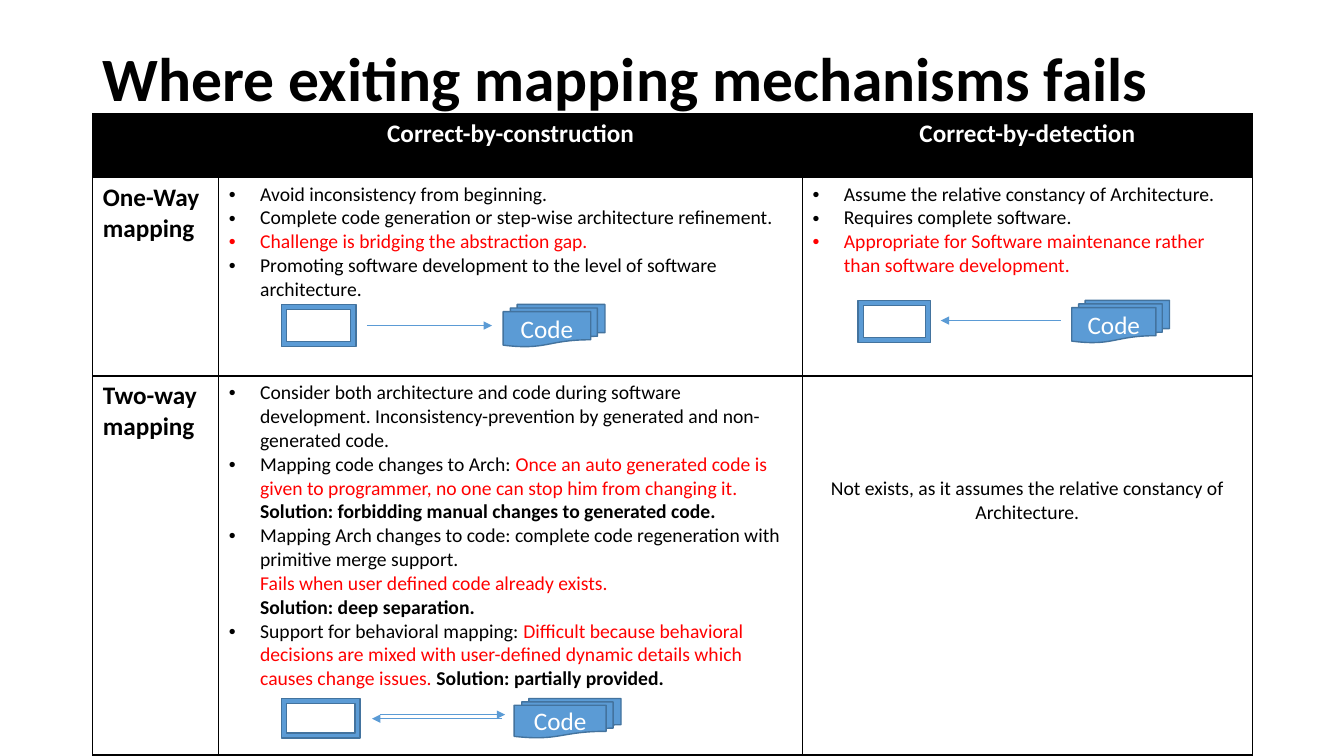
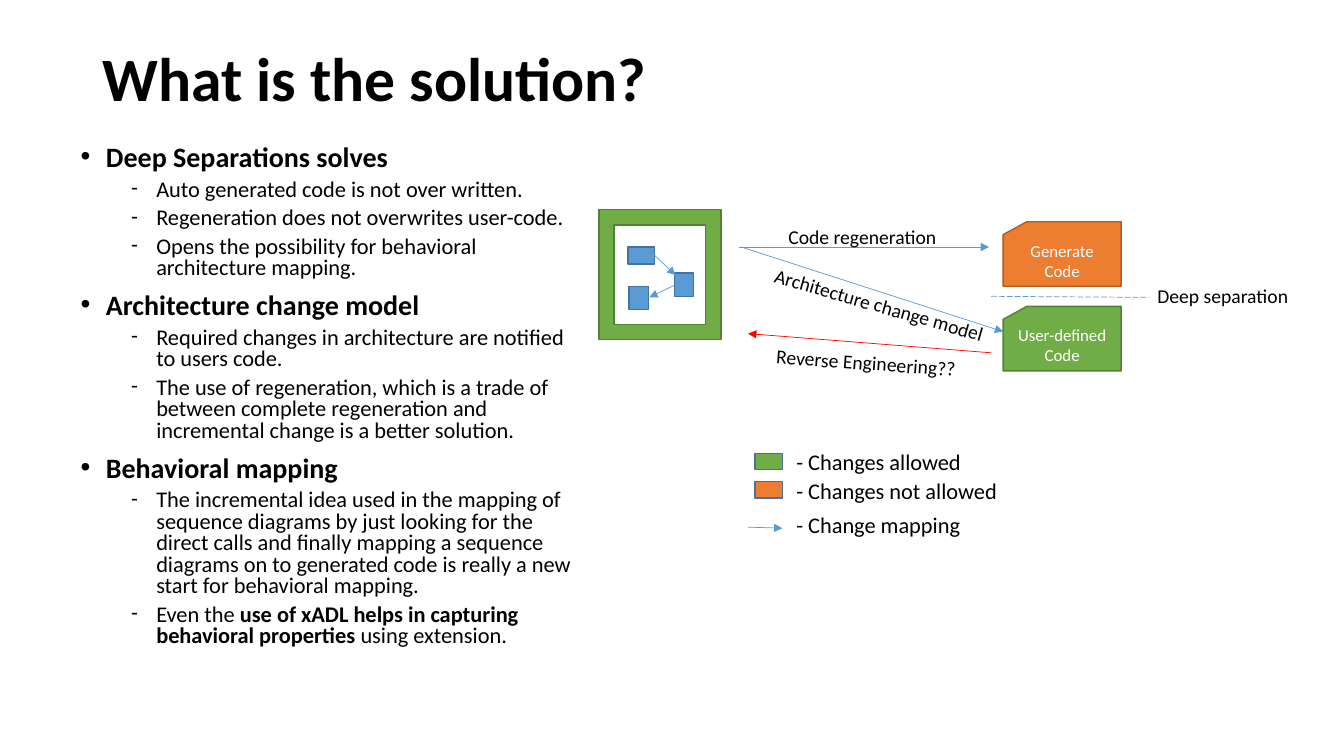
from lxml import etree
from pptx import Presentation
from pptx import util as u
from pptx.dml.color import RGBColor
from pptx.enum import dml, shapes, text
from pptx.oxml import ns

In = u.Inches
FONT = "Calibri"
BLACK = RGBColor(0x00, 0x00, 0x00)
WHITE = RGBColor(0xFF, 0xFF, 0xFF)
RED = RGBColor(0xFF, 0x00, 0x00)
BLUE = RGBColor(0x5B, 0x9B, 0xD5)
BLUE_EDGE = RGBColor(0x43, 0x73, 0x9E)
GREEN = RGBColor(0x70, 0xAD, 0x47)
GREEN_EDGE = RGBColor(0x53, 0x80, 0x35)
ORANGE = RGBColor(0xED, 0x7D, 0x31)
ORANGE_EDGE = RGBColor(0xAF, 0x5C, 0x24)

SHAPE = shapes.MSO_SHAPE
CENTER = text.PP_ALIGN.CENTER
LEFT = text.PP_ALIGN.LEFT
MIDDLE = text.MSO_ANCHOR.MIDDLE
TITLE_ONLY, TITLE_AND_BODY = 5, 1

ONE_WAY_CONSTRUCTION = [
    "Avoid inconsistency from beginning.",
    "Complete code generation or step-wise architecture refinement.",
    [("Challenge is bridging the abstraction gap.", {"color": RED})],
    "Promoting software development to the level of software architecture.",
]
ONE_WAY_DETECTION = [
    "Assume the relative constancy of Architecture.",
    "Requires complete software.",
    [("Appropriate for Software maintenance rather than software development.", {"color": RED})],
]
TWO_WAY_CONSTRUCTION = [
    ("•", "Consider both architecture and code during software development. "
          "Inconsistency-prevention by generated and non-generated code."),
    ("•", [("Mapping code changes to Arch: ", {}),
           ("Once an auto generated code is given to programmer, "
            "no one can stop him from changing it.", {"color": RED})]),
    (None, [("Solution: forbidding manual changes to generated code.", {"bold": True})]),
    ("•", "Mapping Arch changes to code: complete code regeneration with primitive merge support."),
    (None, [("Fails when user defined code already exists.", {"color": RED})]),
    (None, [("Solution: deep separation.", {"bold": True})]),
    ("•", [("Support for behavioral mapping: ", {}),
           ("Difficult because behavioral decisions are mixed with user-defined "
            "dynamic details which causes change issues. ", {"color": RED}),
           ("Solution: partially provided.", {"bold": True})]),
]
SOLUTION_POINTS = {
    "Deep Separations solves": [
        "Auto generated code is not over written.",
        "Regeneration does not overwrites user-code.",
        "Opens the possibility for behavioral architecture mapping.",
    ],
    "Architecture change model": [
        "Required changes in architecture are notified to users code.",
        "The use of regeneration, which is a trade of between complete regeneration "
        "and incremental change is a better solution.",
    ],
    "Behavioral mapping": [
        "The incremental idea used in the mapping of sequence diagrams by just looking for "
        "the direct calls and finally mapping a sequence diagrams on to generated code is "
        "really a new start for behavioral mapping.",
        [("Even the ", {}),
         ("use of xADL helps in capturing behavioral properties", {"bold": True}),
         (" using extension.", {})],
    ],
}


def child(parent, tag, **attributes):
    return etree.SubElement(parent, ns.qn(tag), attributes)


def write(frame, content, size=14, color=BLACK, bold=False, align=LEFT, bullet=None,
          indent=0, hanging=0, level=0, line_spacing=1.0, before=0):
    paragraph = frame.paragraphs[-1]
    if paragraph.runs:
        paragraph = frame.add_paragraph()
    paragraph.alignment = align
    paragraph.level = level
    paragraph.line_spacing = line_spacing
    paragraph.space_before = u.Pt(before)
    properties = paragraph._p.get_or_add_pPr()
    properties.set("marL", str(In(indent)))
    properties.set("indent", str(-In(hanging)))
    if bullet:
        child(properties, "a:buFont", typeface="Arial" if bullet == "•" else FONT)
        child(properties, "a:buChar", char=bullet)
    pieces = [(content, {})] if isinstance(content, str) else content
    for words, change in pieces:
        run = paragraph.add_run()
        run.text = words
        run.font.name = FONT
        run.font.size = u.Pt(size)
        run.font.bold = change.get("bold", bold)
        run.font.color.rgb = change.get("color", color)


def place(shape, left, top, width, height):
    shape.left, shape.top, shape.width, shape.height = map(In, (left, top, width, height))


def titled_slide(deck, layout, title):
    slide = deck.slides.add_slide(deck.slide_layouts[layout])
    heading = slide.shapes.title
    place(heading, 0.92, 0.39, 11.5, 0.84)
    heading.text_frame.vertical_anchor = MIDDLE
    heading.text_frame.auto_size = text.MSO_AUTO_SIZE.NONE
    write(heading.text_frame, title, size=44, bold=True, line_spacing=0.9)
    return slide


def block(slide, kind, box, fill=BLUE, edge=BLUE_EDGE, label=None, size=18):
    shape = slide.shapes.add_shape(kind, *map(In, box))
    shape.shadow.inherit = False
    shape.fill.solid()
    shape.fill.fore_color.rgb = fill
    shape.line.color.rgb = edge
    shape.line.width = u.Pt(1)
    if label:
        shape.text_frame.vertical_anchor = MIDDLE
        write(shape.text_frame, label, size=size, color=WHITE, align=CENTER)


def connect(slide, start, end, color=BLUE, dash=None, arrow=True):
    link = slide.shapes.add_connector(shapes.MSO_CONNECTOR.STRAIGHT, *map(In, start + end))
    link.line.color.rgb = color
    link.line.width = u.Pt(0.5)
    if dash:
        link.line.dash_style = dash
    if arrow:
        child(link.line._get_or_add_ln(), "a:tailEnd", type="triangle")
    child(link._element.spPr, "a:effectLst")


def caption(slide, words, box, size=14, turn=0):
    label = slide.shapes.add_textbox(*map(In, box))
    label.rotation = turn
    label.text_frame.word_wrap = False
    write(label.text_frame, words, size=size)


def style_cell(cell, fill):
    properties = cell._tc.get_or_add_tcPr()
    for side in ("a:lnL", "a:lnR", "a:lnT", "a:lnB"):
        border = child(properties, side, w=str(u.Pt(1)))
        child(child(border, "a:solidFill"), "a:srgbClr", val=str(BLACK))
    cell.fill.solid()
    cell.fill.fore_color.rgb = fill


def mapping_table(slide):
    widths, heights = (1.25, 5.79, 4.46), (0.63, 1.97, 3.76)
    table = slide.shapes.add_table(3, 3, In(0.92), In(1.13), In(11.5), In(6.36)).table
    for column, width in zip(table.columns, widths):
        column.width = In(width)
    for index, (row, height) in enumerate(zip(table.rows, heights)):
        row.height = In(height)
        for cell in row.cells:
            style_cell(cell, WHITE if index else BLACK)

    for column, header in enumerate(("Correct-by-construction", "Correct-by-detection"), 1):
        write(table.cell(0, column).text_frame, header, size=18, color=WHITE, bold=True, align=CENTER)
    for row, header in enumerate(("One-Way mapping", "Two-way mapping"), 1):
        write(table.cell(row, 0).text_frame, header, size=18, bold=True)
    for column, points in enumerate((ONE_WAY_CONSTRUCTION, ONE_WAY_DETECTION), 1):
        for point in points:
            write(table.cell(1, column).text_frame, point, bullet="•", indent=0.31, hanging=0.31)
    for bullet, point in TWO_WAY_CONSTRUCTION:
        write(table.cell(2, 1).text_frame, point, bullet=bullet, indent=0.31,
              hanging=0.31 if bullet else 0)
    missing = table.cell(2, 2)
    missing.margin_top = In(1)
    write(missing.text_frame, "Not exists, as it assumes the relative constancy of Architecture.",
          align=CENTER)


def model_and_code(slide, top, height, model, code, arrows):
    block(slide, SHAPE.FRAME, (model[0], top, model[1], height))
    block(slide, SHAPE.FLOWCHART_MULTIDOCUMENT, (code[0], top, code[1], height), label="Code")
    for start, end, level in arrows:
        connect(slide, (start, level), (end, level))


def mapping_slide(deck):
    slide = titled_slide(deck, TITLE_ONLY, "Where exiting mapping mechanisms fails")
    mapping_table(slide)
    model_and_code(slide, 2.98, 0.42, (8.51, 0.72), (10.63, 0.97), [(10.52, 9.33, 3.18)])
    model_and_code(slide, 3.02, 0.42, (2.79, 0.74), (4.99, 1.01), [(3.64, 4.88, 3.23)])
    model_and_code(slide, 6.93, 0.39, (2.79, 0.78), (5.1, 1.06),
                   [(4.98, 3.69, 7.13), (3.77, 5.01, 7.09)])


def solution_points(body):
    place(body, 0.7, 1.4, 5.11, 5.6)
    frame = body.text_frame
    frame.auto_size = text.MSO_AUTO_SIZE.NONE
    for topic, points in SOLUTION_POINTS.items():
        write(frame, topic, size=20, bold=True, bullet="•", indent=0.25, hanging=0.25,
              line_spacing=0.8, before=10)
        for point in points:
            write(frame, point, size=16, bullet="-", indent=0.75, hanging=0.25, level=1,
                  line_spacing=0.8, before=5)


def architecture(slide):
    block(slide, SHAPE.FRAME, (5.94, 2.08, 1.21, 1.29), GREEN, GREEN_EDGE)
    for component in ((6.23, 2.45, 0.26, 0.17), (6.69, 2.71, 0.19, 0.23), (6.24, 2.84, 0.19, 0.23)):
        block(slide, SHAPE.RECTANGLE, component)
    connect(slide, (6.49, 2.53), (6.7, 2.73))
    connect(slide, (6.69, 2.83), (6.44, 2.95))


def code_parts(slide):
    for label, top, fill, edge in (("Generate Code", 2.2, ORANGE, ORANGE_EDGE),
                                   ("User-defined Code", 3.04, GREEN, GREEN_EDGE)):
        block(slide, SHAPE.FLOWCHART_CARD, (9.95, top, 1.17, 0.64), fill, edge, label, 12)
    connect(slide, (9.83, 2.94), (11.4, 2.95), dash=dml.MSO_LINE.LONG_DASH, arrow=False)
    caption(slide, "Deep separation", (11.38, 2.77, 1.52, 0.34))


def change_flows(slide):
    connect(slide, (7.33, 2.45), (9.81, 2.45))
    caption(slide, "Code regeneration", (7.72, 2.18, 1.69, 0.34))
    connect(slide, (7.35, 2.45), (9.95, 3.29))
    caption(slide, "Architecture change model", (7.55, 2.86, 2.36, 0.34), turn=16)
    connect(slide, (9.83, 3.5), (7.42, 3.31), color=RED)
    caption(slide, "Reverse Engineering??", (7.6, 3.43, 2, 0.34), turn=4.1)


def legend(slide):
    for top, fill in ((4.5, GREEN), (4.78, ORANGE)):
        block(slide, SHAPE.RECTANGLE, (7.49, top, 0.27, 0.16), fill)
    connect(slide, (7.42, 5.23), (7.76, 5.24))
    for words, top, width in (("- Changes allowed", 4.4, 1.85),
                              ("- Changes not allowed", 4.68, 2.21),
                              ("- Change mapping", 5.02, 1.84)):
        caption(slide, words, (7.8, top, width, 0.37), size=16)


def solution_slide(deck):
    slide = titled_slide(deck, TITLE_AND_BODY, "What is the solution?")
    solution_points(slide.placeholders[1])
    architecture(slide)
    code_parts(slide)
    change_flows(slide)
    legend(slide)


def main():
    deck = Presentation()
    deck.slide_width, deck.slide_height = In(13.33), In(7.5)
    mapping_slide(deck)
    solution_slide(deck)
    deck.save("out.pptx")


main()
